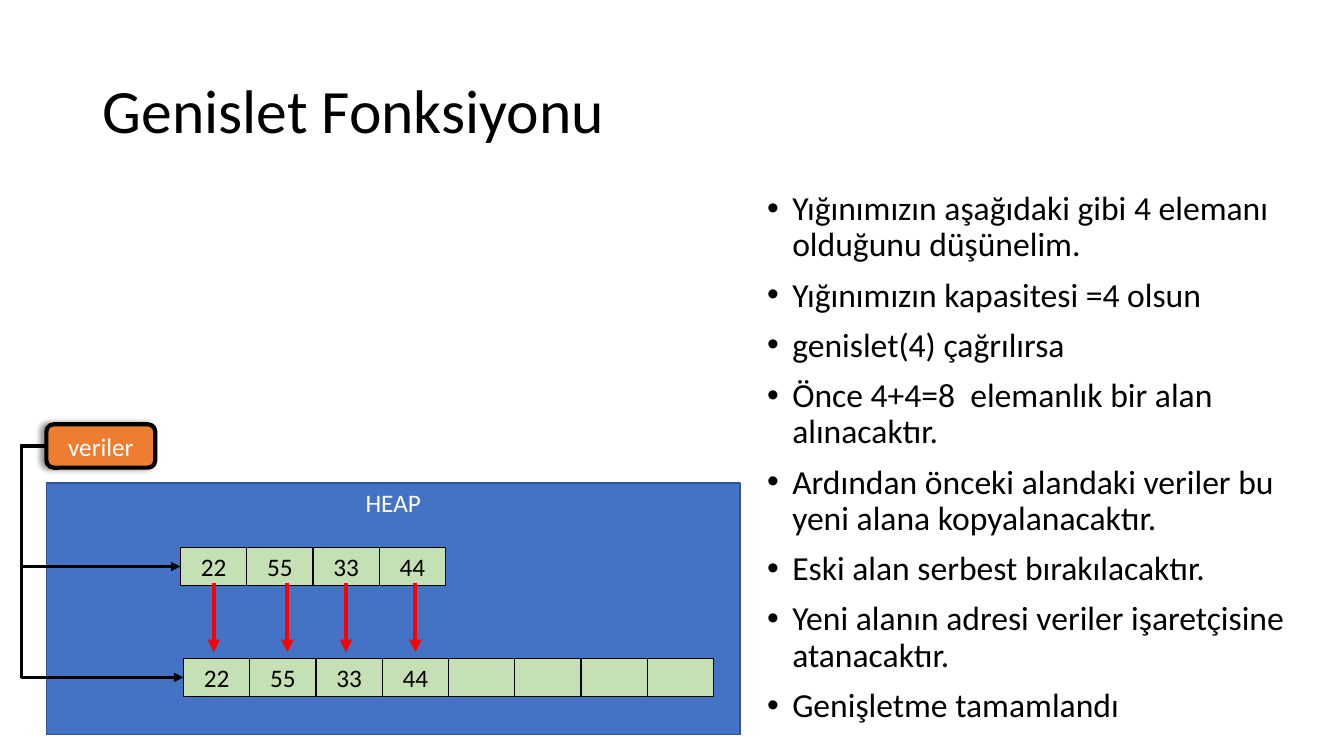
import dataclasses

import lxml.etree
import pptx
import pptx.dml.color
import pptx.enum.shapes
import pptx.enum.text
import pptx.oxml
import pptx.oxml.ns
import pptx.util

Inches = pptx.util.Inches
Pt = pptx.util.Pt
Shape = pptx.enum.shapes.MSO_SHAPE
Connector = pptx.enum.shapes.MSO_CONNECTOR
Anchor = pptx.enum.text.MSO_ANCHOR
Align = pptx.enum.text.PP_ALIGN
qn = pptx.oxml.ns.qn


@dataclasses.dataclass(frozen=True)
class Theme:
    font: str = "Calibri"
    black: str = "000000"
    white: str = "FFFFFF"
    heap: str = "4472C4"
    heap_edge: str = "325491"
    cell: str = "C5E0B4"
    pointer: str = "ED7D31"
    copy_arrow: str = "FF0000"
    title_size: int = 44
    body_size: int = 24
    label_size: int = 18


@dataclasses.dataclass(frozen=True)
class Box:
    left: float
    top: float
    width: float
    height: float
    fill: str
    edge: str
    edge_width: float
    text: str = ""
    text_color: str = "000000"
    kind: Shape = Shape.RECTANGLE
    anchor: Anchor = Anchor.MIDDLE


@dataclasses.dataclass(frozen=True)
class ArrayRow:
    left: float
    top: float
    values: tuple[str, ...]


THEME = Theme()
CELL_WIDTH, CELL_HEIGHT = 0.66, 0.38
CELL_PITCH = 4.6 / 7
VALUES = ("22", "55", "33", "44")
OLD_ARRAY = ArrayRow(1.79, 5.43, VALUES)
NEW_ARRAY = ArrayRow(1.82, 6.53, VALUES + ("",) * 4)
COPY_ARROW_LEFTS = (2.12, 2.85, 3.43, 4.12)
COPY_TOP, COPY_BOTTOM = 5.78, 6.47
POINTER_BEND = 0.25

HEAP = Box(0.46, 4.79, 6.88, 2.5, THEME.heap, THEME.heap_edge, 1,
           "HEAP", THEME.white, anchor=Anchor.TOP)
POINTER = Box(0.46, 4.21, 1.08, 0.43, THEME.pointer, THEME.black, 3,
              "veriler", THEME.white, Shape.ROUNDED_RECTANGLE)

TITLE = "Genislet Fonksiyonu"
STEPS = (
    "Yığınımızın aşağıdaki gibi 4 elemanı olduğunu düşünelim.",
    "Yığınımızın kapasitesi =4 olsun",
    "genislet(4) çağrılırsa",
    "Önce 4+4=8  elemanlık bir alan alınacaktır.",
    "Ardından önceki alandaki veriler bu yeni alana kopyalanacaktır.",
    "Eski alan serbest bırakılacaktır.",
    "Yeni alanın adresi veriler işaretçisine atanacaktır.",
    "Genişletme tamamlandı",
)


def rgb(color: str) -> pptx.dml.color.RGBColor:
    return pptx.dml.color.RGBColor.from_string(color)


def style_text(para, size: int, color: str) -> None:
    for span in para.runs:
        span.font.name = THEME.font
        span.font.size = Pt(size)
        span.font.color.rgb = rgb(color)


def draw_box(page, box: Box):
    shape = page.shapes.add_shape(box.kind, Inches(box.left), Inches(box.top),
                                  Inches(box.width), Inches(box.height))
    shape.shadow.inherit = False
    shape.fill.solid()
    shape.fill.fore_color.rgb = rgb(box.fill)
    shape.line.color.rgb = rgb(box.edge)
    shape.line.width = Pt(box.edge_width)
    shape.text_frame.vertical_anchor = box.anchor
    if box.text:
        para = shape.text_frame.paragraphs[0]
        para.text = box.text
        para.alignment = Align.CENTER
        style_text(para, THEME.label_size, box.text_color)
    return shape


def draw_array(page, row: ArrayRow) -> list:
    return [draw_box(page, Box(row.left + index * CELL_PITCH, row.top, CELL_WIDTH,
                               CELL_HEIGHT, THEME.cell, THEME.black, 1, value))
            for index, value in enumerate(row.values)]


def add_outer_shadow(shape) -> None:
    effects = shape._element.spPr.find(qn("a:effectLst"))
    shadow = lxml.etree.SubElement(effects, qn("a:outerShdw"), blurRad=str(Pt(4)),
                                   dist=str(Pt(3)), dir="10800000", rotWithShape="0")
    color = lxml.etree.SubElement(shadow, qn("a:srgbClr"), val=THEME.black)
    lxml.etree.SubElement(color, qn("a:alpha"), val="40000")


def style_arrow(arrow, color: str, width: float) -> None:
    arrow.line.color.rgb = rgb(color)
    arrow.line.width = Pt(width)
    lxml.etree.SubElement(arrow.line._get_or_add_ln(), qn("a:tailEnd"), type="triangle")
    lxml.etree.SubElement(arrow._element.spPr, qn("a:effectLst"))


def draw_pointer_arrow(page, pointer, cell) -> None:
    arrow = page.shapes.add_connector(Connector.ELBOW, 0, 0, 0, 0)
    arrow.begin_connect(pointer, 1)
    arrow.end_connect(cell, 1)
    style_arrow(arrow, THEME.black, 2.25)
    # The bend lies left of both ends, so its share of the width is negative
    bend = -round(100000 * Inches(POINTER_BEND) / arrow.width)
    guides = arrow._element.spPr.find(qn("a:prstGeom")).get_or_add_avLst()
    lxml.etree.SubElement(guides, qn("a:gd"), name="adj1", fmla=f"val {bend}")


def draw_copy_arrow(page, left: float) -> None:
    arrow = page.shapes.add_connector(Connector.STRAIGHT, Inches(left), Inches(COPY_TOP),
                                      Inches(left), Inches(COPY_BOTTOM))
    style_arrow(arrow, THEME.copy_arrow, 3)


def add_text_frame(page, left: float, top: float, width: float, height: float):
    box = page.shapes.add_textbox(Inches(left), Inches(top), Inches(width), Inches(height))
    box.text_frame.word_wrap = True
    return box.text_frame


def draw_title(page) -> None:
    frame = add_text_frame(page, 0.92, 0.4, 11.5, 1.45)
    frame.vertical_anchor = Anchor.MIDDLE
    frame.text = TITLE
    frame.paragraphs[0].line_spacing = 0.9
    style_text(frame.paragraphs[0], THEME.title_size, THEME.black)


def draw_steps(page) -> None:
    frame = add_text_frame(page, 7.51, 1.85, 5.67, 5.44)
    frame.text = "\n".join(STEPS)
    for index, para in enumerate(frame.paragraphs):
        para.line_spacing = 0.9
        para.space_before = Pt(10 if index else 0)
        properties = para._p.get_or_add_pPr()
        properties.set("marL", str(Inches(0.25)))
        properties.set("indent", str(Inches(-0.25)))
        lxml.etree.SubElement(properties, qn("a:buFont"), typeface="Arial")
        lxml.etree.SubElement(properties, qn("a:buChar"), char="•")
        style_text(para, THEME.body_size, THEME.black)


def main() -> None:
    deck = pptx.Presentation()
    deck.slide_width, deck.slide_height = Inches(13.33), Inches(7.5)
    page = deck.slides.add_slide(deck.slide_layouts[6])

    # Title and explanation
    draw_title(page)
    draw_steps(page)

    # Heap with the old and the enlarged array
    draw_box(page, HEAP)
    old_cells = draw_array(page, OLD_ARRAY)
    new_cells = draw_array(page, NEW_ARRAY)

    # Pointer to both arrays
    pointer = draw_box(page, POINTER)
    add_outer_shadow(pointer)
    for cells in (old_cells, new_cells):
        draw_pointer_arrow(page, pointer, cells[0])

    # Copying of the values
    for left in COPY_ARROW_LEFTS:
        draw_copy_arrow(page, left)

    deck.save("out.pptx")


if __name__ == "__main__":
    main()
